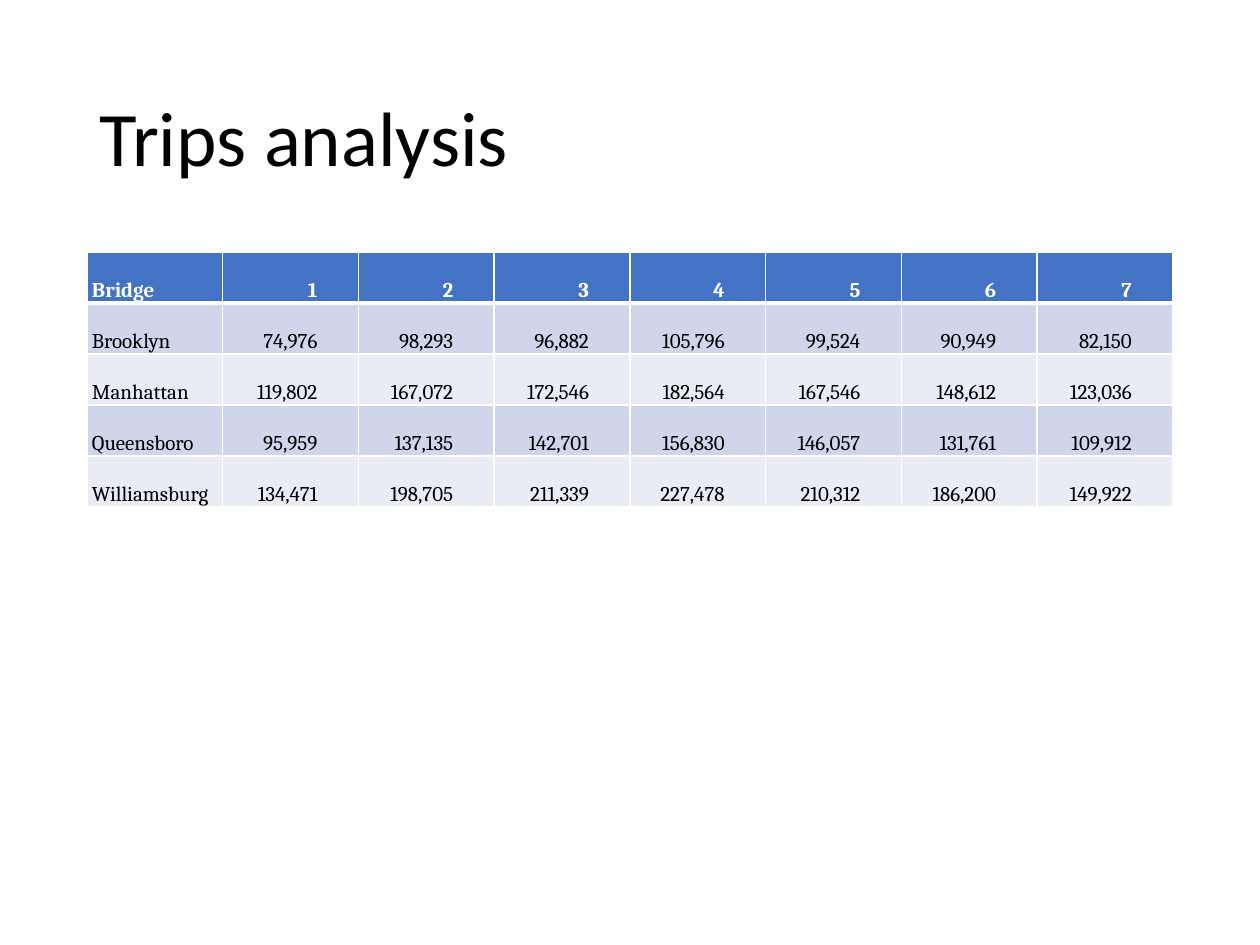
import lxml.etree
import pptx
import pptx.dml.color
import pptx.enum.text
import pptx.oxml.ns
import pptx.util

PX_PER_INCH = 126
BLACK = pptx.dml.color.RGBColor(0x00, 0x00, 0x00)
WHITE = pptx.dml.color.RGBColor(0xFF, 0xFF, 0xFF)
HEADER_BLUE = pptx.dml.color.RGBColor(0x44, 0x72, 0xC4)
BAND_DARK = pptx.dml.color.RGBColor(0xCF, 0xD5, 0xEA)
BAND_LIGHT = pptx.dml.color.RGBColor(0xE9, 0xEB, 0xF5)
ALIGN = pptx.enum.text.PP_ALIGN
ANCHOR = pptx.enum.text.MSO_ANCHOR

TRIPS = [
    ["Bridge", "1", "2", "3", "4", "5", "6", "7"],
    ["Brooklyn", "74,976", "98,293", "96,882", "105,796", "99,524", "90,949", "82,150"],
    ["Manhattan", "119,802", "167,072", "172,546", "182,564", "167,546", "148,612", "123,036"],
    ["Queensboro", "95,959", "137,135", "142,701", "156,830", "146,057", "131,761", "109,912"],
    ["Williamsburg", "134,471", "198,705", "211,339", "227,478", "210,312", "186,200", "149,922"],
]


def px(length):
    """Turn whole pixels into EMU."""
    return pptx.util.Emu(round(length * 914400 / PX_PER_INCH))


def write_text(frame, text, *, font, size, color, bold=False, align=ALIGN.LEFT, spacing=1.0):
    """Write one formatted paragraph into a text frame."""
    paragraph = frame.paragraphs[0]
    paragraph.alignment = align
    paragraph.line_spacing = spacing
    run = paragraph.add_run()
    run.text = text
    run.font.name = font
    run.font.size = pptx.util.Pt(size)
    run.font.bold = bold
    run.font.color.rgb = color


def add_title(slide, text):
    """Add the slide title, centred vertically in its box."""
    shape = slide.shapes.add_textbox(px(87), px(50), px(1086), px(183))
    frame = shape.text_frame
    frame.word_wrap = True
    frame.vertical_anchor = ANCHOR.MIDDLE
    write_text(frame, text, font="Calibri", size=44, color=BLACK, spacing=0.9)


def set_borders(cell, **widths):
    """Draw white cell borders with the given widths in points."""
    properties = cell._tc.get_or_add_tcPr()
    qualify = pptx.oxml.ns.qn
    for side in "LRTB":
        width = pptx.util.Pt(widths.get(side, 1))
        line = lxml.etree.SubElement(properties, qualify(f"a:ln{side}"), w=str(width))
        fill = lxml.etree.SubElement(line, qualify("a:solidFill"))
        lxml.etree.SubElement(fill, qualify("a:srgbClr"), val=str(WHITE))


def format_cell(cell, text, row, column):
    """Fill one cell according to its row and column."""
    is_header = row == 0
    is_label = column == 0
    set_borders(cell, T=3 if row == 1 else 1, B=3 if is_header else 1)
    cell.fill.solid()
    cell.fill.fore_color.rgb = HEADER_BLUE if is_header else (BAND_LIGHT, BAND_DARK)[row % 2]
    cell.vertical_anchor = ANCHOR.BOTTOM
    cell.margin_left = px(5 if is_label else 1)
    cell.margin_right = px(1 if is_label else 41)
    cell.margin_top = px(1)
    cell.margin_bottom = px(0)
    write_text(cell.text_frame, text, font="Cambria", size=12, bold=is_header,
               color=WHITE if is_header else BLACK,
               align=ALIGN.LEFT if is_label else ALIGN.RIGHT)


def add_trips_table(slide, rows):
    """Add the table of trips for each bridge."""
    table = slide.shapes.add_table(len(rows), len(rows[0]),
                                   px(87), px(252), px(1086), px(255)).table
    for row, values in enumerate(rows):
        for column, text in enumerate(values):
            format_cell(table.cell(row, column), text, row, column)


def main():
    """Build and save the presentation."""
    presentation = pptx.Presentation()
    presentation.slide_width = px(1260)
    presentation.slide_height = px(945)
    slide = presentation.slides.add_slide(presentation.slide_layouts[6])
    add_title(slide, "Trips analysis")
    add_trips_table(slide, TRIPS)
    presentation.save("out.pptx")


if __name__ == "__main__":
    main()
